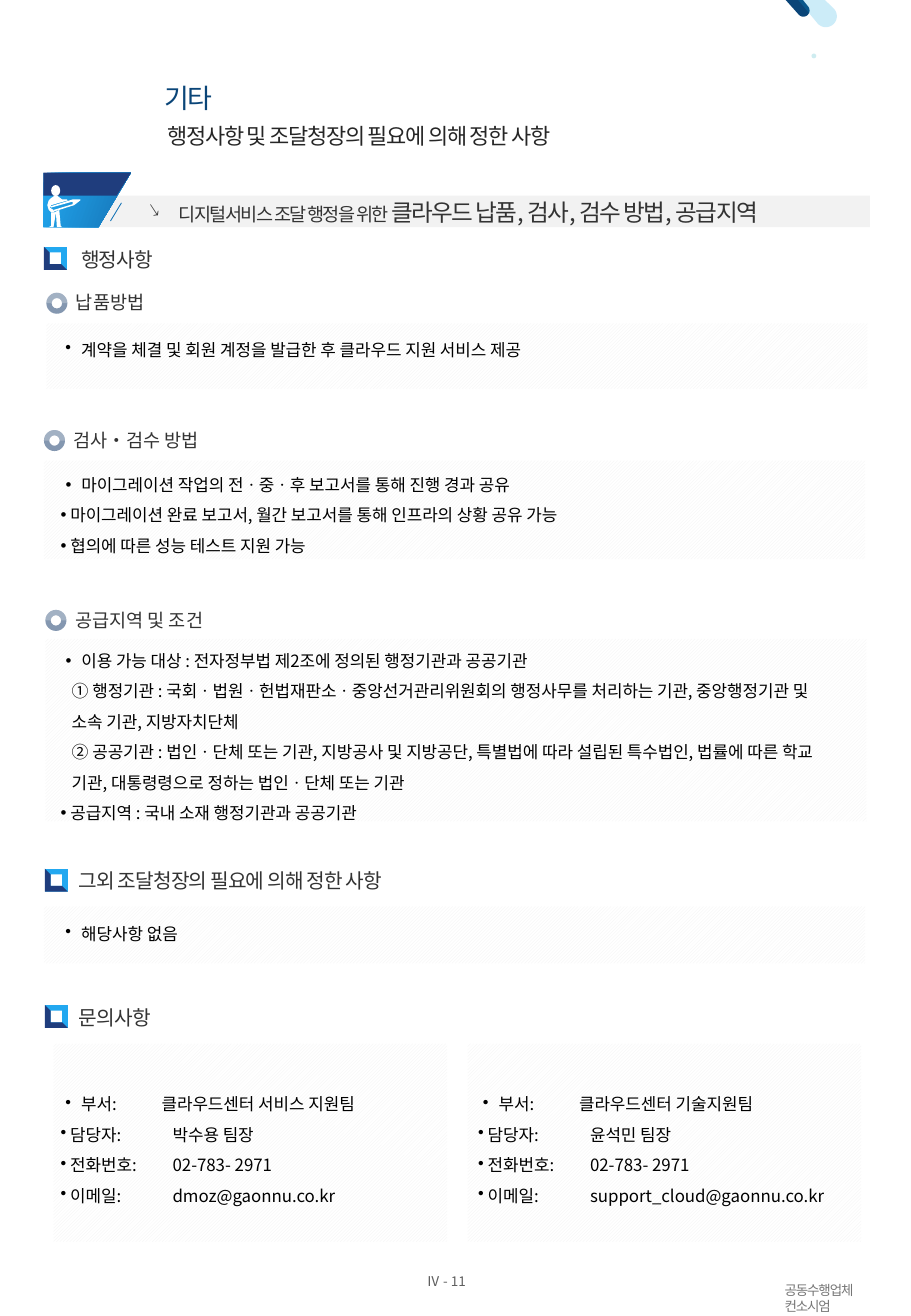
from dataclasses import dataclass
from math import cos, radians, sin

from pptx import Presentation
from pptx.dml.color import RGBColor
from pptx.enum.dml import MSO_PATTERN
from pptx.enum.shapes import MSO_CONNECTOR, MSO_SHAPE
from pptx.enum.text import MSO_ANCHOR, MSO_AUTO_SIZE, PP_ALIGN
from pptx.oxml.ns import qn
from pptx.util import Cm, Pt
from lxml.etree import SubElement


@dataclass(frozen=True)
class Theme:
    """Colours, type sizes and font of the page."""
    font: str = "Noto Sans CJK KR"
    title: str = "0A4578"
    ink: str = "262626"
    heading: str = "333333"
    body: str = "000000"
    page: str = "5F5F5F"
    footer: str = "767676"
    white: str = "FFFFFF"
    pale: str = "F2F2F2"
    navy: str = "1F3D7D"
    sky: str = "22A8F0"
    blue: str = "1573B5"
    cyan: str = "00A0E0"
    dot: str = "CEECF0"
    ring: str = "8497B0"
    title_size: float = 16
    subtitle_size: float = 13
    banner_size: float = 14
    section_size: float = 12
    item_size: float = 11
    body_size: float = 10
    footer_size: float = 8


THEME = Theme()
PENCIL = [(1.04, 4.32), (1.52, 4.17), (1.68, 4.17), (1.68, 4.19), (1.55, 4.29), (1.14, 4.42),
          (1.12, 4.39), (1.52, 4.27), (1.52, 4.22), (1.5, 4.22), (1.07, 4.34)]
TORSO = [(1.12, 4.11), (1.07, 4.14), (1.02, 4.19), (0.99, 4.29), (1.02, 4.39), (1.07, 4.44),
         (1.14, 4.44), (1.12, 4.39), (1.04, 4.34), (1.07, 4.29), (1.24, 4.24), (1.42, 4.19),
         (1.4, 4.17), (1.3, 4.17), (1.22, 4.11), (1.19, 4.09), (1.12, 4.09)]
LEGS = [(1.24, 4.39), (1.14, 4.44), (1.07, 4.44), (1.07, 4.72), (1.02, 4.75), (1.12, 4.75),
        (1.17, 4.44), (1.19, 4.75), (1.3, 4.75), (1.27, 4.72)]


def finish(shape, color, alpha=None):
    """Give a shape a plain fill with no line or shadow."""
    shape.shadow.inherit = False
    shape.line.fill.background()
    shape.fill.solid()
    shape.fill.fore_color.rgb = RGBColor.from_string(color)
    if alpha is not None:
        color_element = shape.element.spPr.find(".//" + qn("a:srgbClr"))
        SubElement(color_element, qn("a:alpha"), val=str(alpha * 1000))
    return shape


def preset(slide, kind, left, top, width, height, color, alpha=None):
    """Add a preset shape."""
    shape = slide.shapes.add_shape(kind, Cm(left), Cm(top), Cm(width), Cm(height))
    return finish(shape, color, alpha)


def outline(slide, points, color, alpha=None):
    """Add a closed polygon through the points."""
    corners = [(Cm(x), Cm(y)) for x, y in points]
    builder = slide.shapes.build_freeform(*corners[0])
    builder.add_line_segments(corners[1:], close=True)
    return finish(builder.convert_to_shape(), color, alpha)


def gradient(shape, colors, positions, angle):
    """Fill a shape with a two-colour gradient at a clockwise angle."""
    shape.fill.gradient()
    shape.fill.gradient_angle = 360 - angle
    for stop, color, position in zip(shape.fill.gradient_stops, colors, positions):
        stop.color.rgb = RGBColor.from_string(color)
        stop.position = position


def add_run(paragraph, text, size, color, spacing=0):
    """Add a formatted run."""
    run = paragraph.add_run()
    run.text = text
    run.font.size = Pt(size)
    run.font.bold = False
    run.font.name = THEME.font
    run.font.color.rgb = RGBColor.from_string(color)
    properties = run.font._element
    SubElement(properties, qn("a:ea"), typeface=THEME.font)
    if spacing:
        properties.set("spc", str(round(spacing * 100)))


def set_bullet(paragraph, margin, hanging, character=None, tab=None):
    """Set indents, bullet and tab stop of a paragraph."""
    properties = paragraph._p.get_or_add_pPr()
    properties.set("marL", str(Cm(margin)))
    properties.set("indent", str(-Cm(hanging)))
    if character:
        SubElement(properties, qn("a:buChar"), char=character)
    else:
        SubElement(properties, qn("a:buNone"))
    if tab:
        stops = SubElement(properties, qn("a:tabLst"))
        SubElement(stops, qn("a:tab"), pos=str(Cm(tab)), algn="l")


def text_area(slide, left, top, width, height, placeholder=None, inset=(0, 0),
              anchor=MSO_ANCHOR.TOP):
    """Place a text box or placeholder in front and return its text frame."""
    shape = placeholder or slide.shapes.add_textbox(0, 0, 0, 0)
    shape.left, shape.top, shape.width, shape.height = map(Cm, (left, top, width, height))
    shape.element.getparent().append(shape.element)
    frame = shape.text_frame
    frame.word_wrap = True
    frame.auto_size = MSO_AUTO_SIZE.NONE
    frame.vertical_anchor = anchor
    frame.margin_left = frame.margin_right = Cm(inset[0])
    frame.margin_top = frame.margin_bottom = Cm(inset[1])
    return frame


def label(slide, text, left, top, width, height, size, color, spacing=0, line=None, **area):
    """Add a one-paragraph text."""
    paragraph = text_area(slide, left, top, width, height, **area).paragraphs[0]
    paragraph.alignment = PP_ALIGN.LEFT
    if line:
        paragraph.line_spacing = Pt(line)
    add_run(paragraph, text, size, color, spacing)


def bullet_list(slide, items, left, top, width, height, line=1.5, tab=None, placeholder=None):
    """Add a list in which circled numbers stand in for bullets."""
    frame = text_area(slide, left, top, width, height, placeholder, inset=(0.25, 0.13))
    for index, item in enumerate(items):
        paragraph = frame.add_paragraph() if index else frame.paragraphs[0]
        paragraph.line_spacing = line
        paragraph.space_before = Pt(0)
        if item[0] in "①②":
            set_bullet(paragraph, 0.23, 0)
        else:
            margin, hanging = (0.2, 0.2) if index else (0.43, 0.33)
            set_bullet(paragraph, margin, hanging, "•", tab and tab - margin)
        add_run(paragraph, item, THEME.body_size, THEME.body)


def section_heading(slide, text, left, top, text_left):
    """Add a heading with a square frame marker."""
    marker = preset(slide, MSO_SHAPE.FRAME, left, top, 0.48, 0.48, THEME.sky)
    marker.adjustments[0] = 0.246
    gradient(marker, (THEME.sky, THEME.navy), (0.5, 0.5), 135)
    label(slide, text, text_left, top, 9, 0.51, THEME.section_size, THEME.heading, -0.5,
          anchor=MSO_ANCHOR.MIDDLE)


def item_heading(slide, text, left, top):
    """Add a heading with a two-tone ring marker."""
    preset(slide, MSO_SHAPE.DONUT, left, top, 0.44, 0.44, THEME.ring)
    preset(slide, MSO_SHAPE.BLOCK_ARC, left, top, 0.44, 0.44, THEME.white, 25)
    label(slide, text, left + 0.62, top - 0.03, 6, 0.48, THEME.item_size, THEME.heading)


def hatched_panel(slide, left, top, width, height):
    """Add a pale panel with diagonal hatching."""
    panel = preset(slide, MSO_SHAPE.RECTANGLE, left, top, width, height, THEME.pale)
    panel.fill.patterned()
    panel.fill.pattern = MSO_PATTERN.DARK_UPWARD_DIAGONAL
    panel.fill.fore_color.rgb = RGBColor.from_string(THEME.pale)
    panel.fill.back_color.rgb = RGBColor.from_string(THEME.white)


def capsule(slide, left, right, center, radius, color, alpha=None):
    """Add a slanted bar from the top edge with a rounded end."""
    arc = [(center[0] + radius * cos(radians(angle)), center[1] + radius * sin(radians(angle)))
           for angle in range(-41, 140, 12)]
    outline(slide, [(left, 0), (right, 0), *arc], color, alpha)


def banner(slide):
    """Add the banner with the figure and its headline."""
    preset(slide, MSO_SHAPE.RECTANGLE, 1.19, 4.09, 17, 0.66, THEME.pale)
    base = outline(slide, [(0.91, 3.61), (2.74, 3.61), (2.06, 4.75), (0.91, 4.75)], THEME.sky)
    gradient(base, (THEME.sky, THEME.blue), (0, 1), 20)
    outline(slide, [(0.91, 3.61), (2.74, 3.61), (2.44, 4.09), (0.91, 4.09)], THEME.navy)
    for points in (PENCIL, TORSO, LEGS):
        outline(slide, points, THEME.white)
    preset(slide, MSO_SHAPE.OVAL, 1.07, 3.87, 0.19, 0.23, THEME.white)
    slash = slide.shapes.add_connector(MSO_CONNECTOR.STRAIGHT, Cm(2.54), Cm(4.24), Cm(2.31), Cm(4.62))
    slash.line.color.rgb = RGBColor.from_string(THEME.blue)
    slash.line.width = Pt(0.5)
    SubElement(slash.element.spPr, qn("a:effectLst"))
    frame = text_area(slide, 2.87, 4.01, 14.71, 0.86, inset=(0.25, 0.13), anchor=MSO_ANCHOR.MIDDLE)
    paragraph = frame.paragraphs[0]
    set_bullet(paragraph, 0.62, 0.62, "↘")
    for text, size in (("디지털서비스 조달 행정을 위한 ", THEME.item_size),
                       ("클라우드 납품, 검사, 검수 방법, 공급지역", THEME.banner_size)):
        add_run(paragraph, text, size, THEME.heading, -1)


def main():
    """Build the page and save it."""
    presentation = Presentation()
    presentation.slide_width, presentation.slide_height = Cm(19.05), Cm(27.51)
    slide = presentation.slides.add_slide(presentation.slide_layouts[3])
    title, inspection, supply = slide.placeholders

    capsule(slide, 16.43, 16.79, (16.8, 0.22), 0.13, THEME.title)
    capsule(slide, 16.69, 17.25, (17.27, 0.34), 0.23, THEME.cyan, 20)
    preset(slide, MSO_SHAPE.OVAL, 16.97, 1.12, 0.1, 0.1, THEME.dot)
    label(slide, "기타", 3.25, 1.6, 5.28, 0.89, THEME.title_size, THEME.title, -1.1,
          placeholder=title, inset=(0.2, 0.1))
    label(slide, "행정사항 및 조달청장의 필요에 의해 정한 사항", 3.5, 2.41, 11, 0.71,
          THEME.subtitle_size, THEME.ink, -0.7, line=20, anchor=MSO_ANCHOR.MIDDLE)
    banner(slide)

    for heading in (("행정사항", 0.92, 5.16, 1.7),
                    ("그외 조달청장의 필요에 의해 정한 사항", 0.94, 18.16, 1.65),
                    ("문의사항", 0.94, 21.01, 1.65)):
        section_heading(slide, *heading)
    for heading in (("납품방법", 0.97, 6.12), ("검사•검수 방법", 0.92, 8.99),
                    ("공급지역 및 조건", 0.95, 12.75)):
        item_heading(slide, *heading)
    for left, top, height in ((0.97, 6.76, 1.37), (0.92, 9.63, 2.06),
                              (0.95, 13.36, 3.81), (0.92, 18.95, 1.19)):
        hatched_panel(slide, left, top, 17.17, height)

    bullet_list(slide, ["계약을 체결 및 회원 계정을 발급한 후 클라우드 지원 서비스 제공"],
                1.02, 6.96, 16.61, 0.69, line=1)
    bullet_list(slide, ["마이그레이션 작업의 전ㆍ중ㆍ후 보고서를 통해 진행 경과 공유",
                        "마이그레이션 완료 보고서, 월간 보고서를 통해 인프라의 상황 공유 가능",
                        "협의에 따른 성능 테스트 지원 가능"],
                1.02, 9.58, 16.61, 2.18, placeholder=inspection)
    bullet_list(slide, ["이용 가능 대상 : 전자정부법 제2조에 정의된 행정기관과 공공기관",
                        "① 행정기관 : 국회ㆍ법원ㆍ헌법재판소ㆍ중앙선거관리위원회의 행정사무를 처리하는 기관, "
                        "중앙행정기관 및 소속 기관, 지방자치단체",
                        "② 공공기관 : 법인ㆍ단체 또는 기관, 지방공사 및 지방공단, 특별법에 따라 설립된 특수법인, "
                        "법률에 따른 학교 기관, 대통령령으로 정하는 법인ㆍ단체 또는 기관",
                        "공급지역 : 국내 소재 행정기관과 공공기관"],
                1.02, 13.26, 16.61, 4.11, placeholder=supply)
    bullet_list(slide, ["해당사항 없음"], 1.02, 19.18, 16.61, 0.69, line=1)

    for panel_left, left, team, manager, mail in (
            (1.12, 1.02, "클라우드센터 서비스 지원팀", "박수용 팀장", "dmoz@gaonnu.co.kr"),
            (9.78, 9.75, "클라우드센터 기술지원팀", "윤석민 팀장", "support_cloud@gaonnu.co.kr")):
        hatched_panel(slide, panel_left, 21.82, 8.23, 4.14)
        bullet_list(slide, [f"부서:\t{team}", f"담당자:\t{manager}", "전화번호:\t02-783- 2971",
                            f"이메일:\t{mail}"], left, 22.53, 8.13, 2.82, tab=2.54)

    label(slide, "Ⅳ - 11", 8.92, 26.62, 1.5, 0.33, THEME.footer_size, THEME.page,
          anchor=MSO_ANCHOR.MIDDLE)
    label(slide, "공동수행업체 컨소시엄", 16.41, 26.8, 1.65, 0.7, THEME.footer_size, THEME.footer, -0.7)
    presentation.save("out.pptx")


if __name__ == "__main__":
    main()
